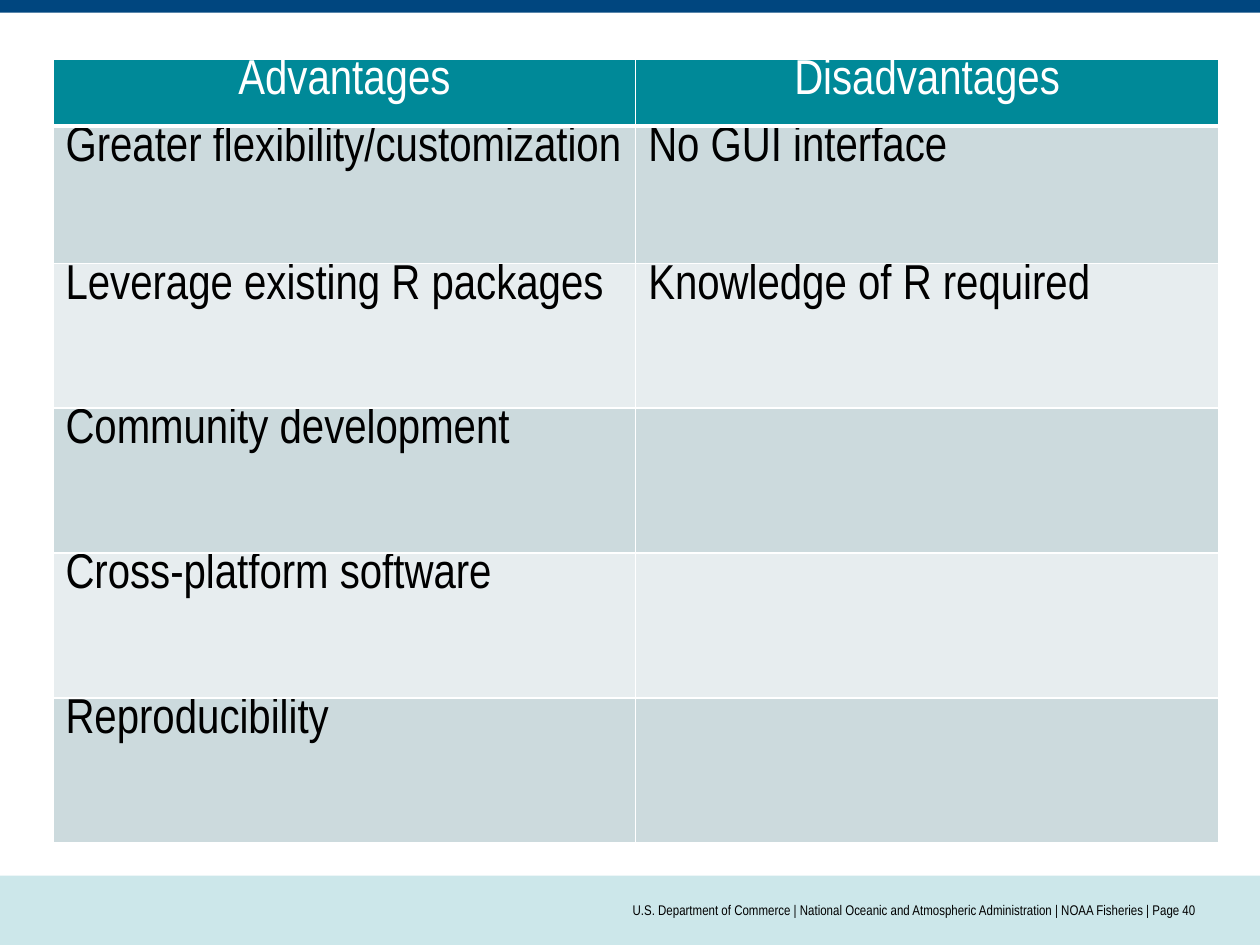
from dataclasses import dataclass

from lxml import etree
from pptx import Presentation
from pptx.dml.color import RGBColor
from pptx.enum.shapes import MSO_SHAPE
from pptx.enum.text import MSO_ANCHOR, PP_ALIGN
from pptx.oxml.ns import qn
from pptx.util import Inches, Pt

RECT = MSO_SHAPE.RECTANGLE
MIDDLE = MSO_ANCHOR.MIDDLE
LEFT, CENTER, RIGHT = PP_ALIGN.LEFT, PP_ALIGN.CENTER, PP_ALIGN.RIGHT
WIDE, HIGH = 10, 7.5


@dataclass(frozen=True)
class Theme:
    face: str = "Arial Narrow"
    navy: str = "00467F"
    pale: str = "CCE7EA"
    teal: str = "008998"
    bands: tuple = ("CCDADD", "E7EDEF")
    white: str = "FFFFFF"
    black: str = "000000"
    large: int = 28
    small: int = 8
    thin: int = 1
    thick: int = 3


THEME = Theme()
HEADS = ("Advantages", "Disadvantages")
ROWS = (
    ("Greater flexibility/customization", "No GUI interface"),
    ("Leverage existing R packages", "Knowledge of R required"),
    ("Community development", ""),
    ("Cross-platform software", ""),
    ("Reproducibility", ""),
)
PARTS = (
    "U.S. Department of Commerce",
    "National Oceanic and Atmospheric Administration",
    "NOAA Fisheries",
    "Page 40",
)


def write(frame, text, size=THEME.large, color=THEME.black, align=LEFT):
    para = frame.paragraphs[0]
    para.alignment = align
    para.font.size = Pt(size)
    if text:
        run = para.add_run()
        run.text = text
        run.font.name = THEME.face
        run.font.size = Pt(size)
        run.font.color.rgb = RGBColor.from_string(color)


def band(slide, box, color):
    shape = slide.shapes.add_shape(RECT, *map(Inches, box))
    shape.shadow.inherit = False
    shape.fill.solid()
    shape.fill.fore_color.rgb = RGBColor.from_string(color)
    shape.line.fill.background()


def edge(cell, side, width):
    props = cell._tc.get_or_add_tcPr()
    line = etree.SubElement(props, qn(f"a:ln{side}"), w=str(Pt(width)))
    fill = etree.SubElement(line, qn("a:solidFill"))
    etree.SubElement(fill, qn("a:srgbClr"), val=THEME.white)


def paint(cell, color, base):
    cell.margin_left = cell.margin_right = Inches(0.1)
    cell.margin_top = cell.margin_bottom = 0
    for side in "LRT":
        edge(cell, side, THEME.thin)
    edge(cell, "B", base)
    cell.fill.solid()
    cell.fill.fore_color.rgb = RGBColor.from_string(color)


def grid(slide, box, highs):
    count = len(HEADS)
    frame = slide.shapes.add_table(len(highs), count, *map(Inches, box))
    table = frame.table
    for col in table.columns:
        col.width = Inches(box[2] / count)
    for row, high in zip(table.rows, highs):
        row.height = Inches(high)
    for col, text in enumerate(HEADS):
        cell = table.cell(0, col)
        paint(cell, THEME.teal, THEME.thick)
        write(cell.text_frame, text, color=THEME.white, align=CENTER)
    for row, texts in enumerate(ROWS):
        for col, text in enumerate(texts):
            cell = table.cell(row + 1, col)
            paint(cell, THEME.bands[row % 2], THEME.thin)
            write(cell.text_frame, text)


def footer(slide, box):
    left, top, wide, high = box
    band(slide, box, THEME.pale)
    part = (left + wide * 0.25, top, wide * 0.7, high)
    frame = slide.shapes.add_textbox(*map(Inches, part)).text_frame
    frame.word_wrap = True
    frame.vertical_anchor = MIDDLE
    frame.margin_left = frame.margin_right = 0
    write(frame, " | ".join(PARTS), size=THEME.small, align=RIGHT)


def main():
    deck = Presentation()
    deck.slide_width, deck.slide_height = Inches(WIDE), Inches(HIGH)
    slide = deck.slides.add_slide(deck.slide_layouts[6])
    foot = 0.55
    footer(slide, (0, HIGH - foot, WIDE, foot))
    band(slide, (0, 0, WIDE, 0.1), THEME.navy)
    highs = [0.53, 1.09] + [1.15] * (len(ROWS) - 1)
    grid(slide, (0.42, 0.47, 9.25, sum(highs)), highs)
    deck.save("out.pptx")


if __name__ == "__main__":
    main()
